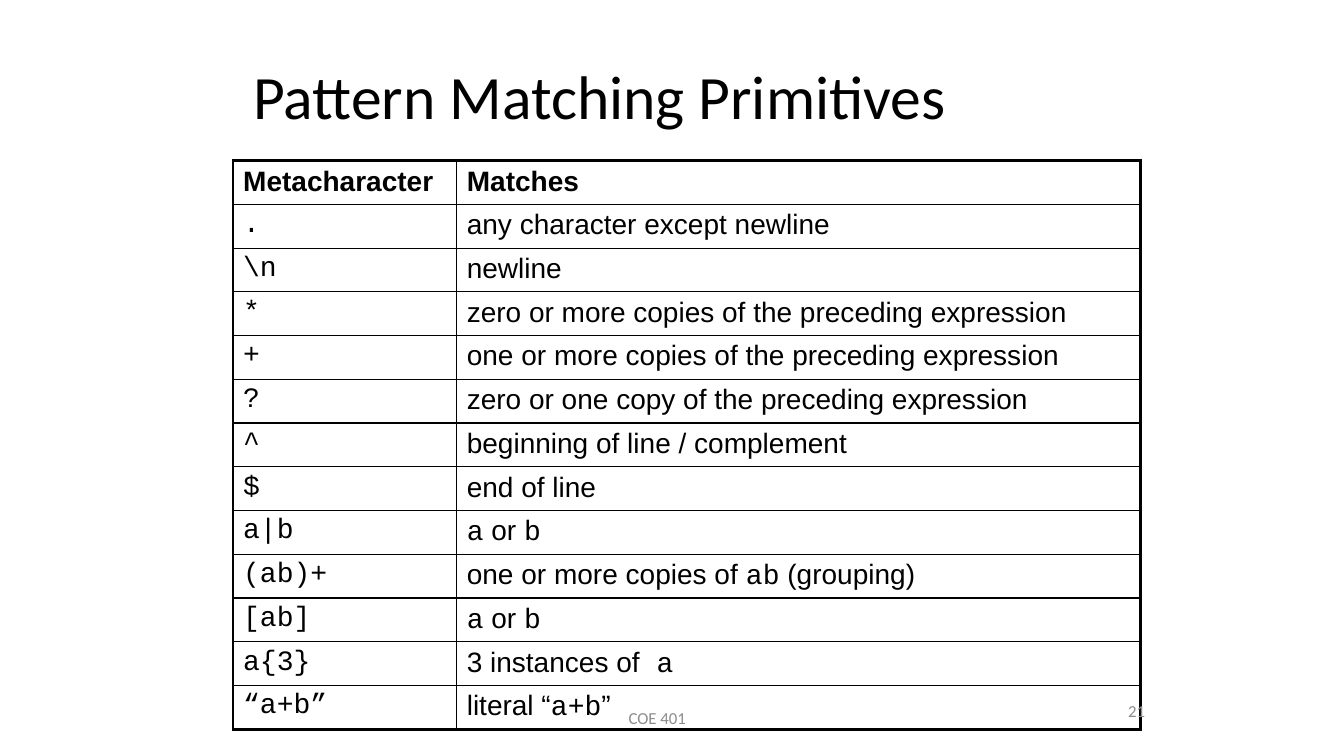
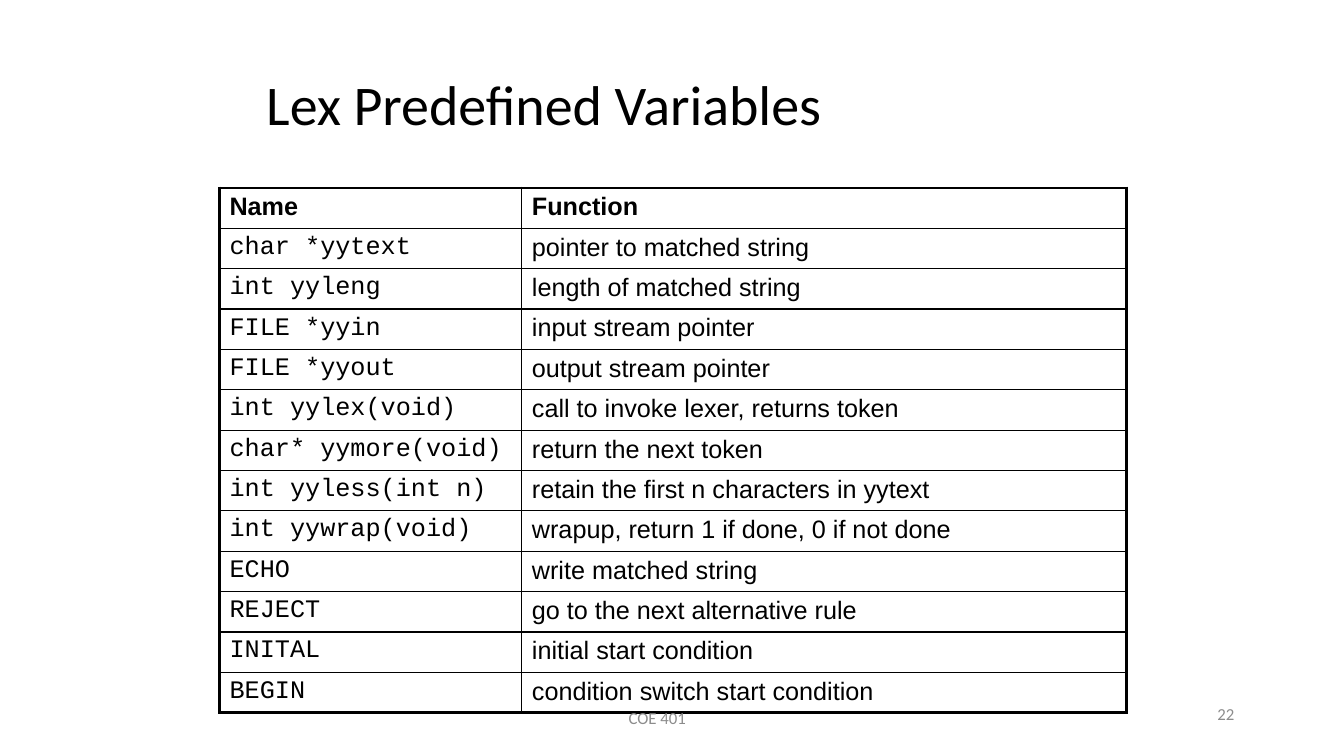
from lxml.etree import SubElement
from pptx import Presentation
from pptx.dml.color import RGBColor
from pptx.enum.text import MSO_ANCHOR, PP_ALIGN
from pptx.oxml.ns import qn
from pptx.util import Emu, Pt

EMU_PER_PX = 9525
BLACK, WHITE, GRAY = "000000", "FFFFFF", "8C8C8C"
HEADING_FONT, BODY_FONT, CODE_FONT = "Calibri", "Arial", "Courier New"
OUTER_LINE, INNER_LINE = 2.25, 1
ROW_HEIGHT = 35
FOOTER_BOX = (318, 660, 616, 48)

# Text between backticks is set in the code font.
PRIMITIVES = [
    ("Metacharacter", "Matches"),
    ("`.`", "any character except newline"),
    ("`\\n`", "newline"),
    ("`*`", "zero or more copies of the preceding expression"),
    ("`+`", "one or more copies of the preceding expression"),
    ("`?`", "zero or one copy of the preceding expression"),
    ("`^`", "beginning of line / complement"),
    ("`$`", "end of line"),
    ("`a|b`", "`a` or `b`"),
    ("`(ab)+`", "one or more copies of `ab` (grouping)"),
    ("`[ab]`", "`a` or `b`"),
    ("`a{3}`", "3 instances of` a`"),
    ("`“a+b”`", "literal “`a+b`”"),
]
VARIABLES = [
    ("Name", "Function"),
    ("`char *yytext`", "pointer to matched string"),
    ("`int yyleng`", "length of matched string"),
    ("`FILE *yyin`", "input stream pointer"),
    ("`FILE *yyout`", "output stream pointer"),
    ("`int yylex(void)`", "call to invoke lexer, returns token"),
    ("`char* yymore(void)`", "return the next token"),
    ("`int yyless(int n)`", "retain the first n characters in yytext"),
    ("`int yywrap(void)`", "wrapup, return 1 if done, 0 if not done"),
    ("`ECHO`", "write matched string"),
    ("`REJECT`", "go to the next alternative rule"),
    ("`INITAL`", "initial start condition"),
    ("`BEGIN`", "condition switch start condition"),
]


def px(length):
    return Emu(length * EMU_PER_PX)


def rgb(color):
    return RGBColor.from_string(color)


def write_text(frame, text, *, size, font=BODY_FONT, color=BLACK, bold=False,
               align=PP_ALIGN.LEFT, line_spacing=None):
    """Fill the first paragraph, switching to the code font at each backtick."""
    paragraph = frame.paragraphs[0]
    paragraph.alignment = align
    paragraph.line_spacing = line_spacing
    for index, part in enumerate(text.split("`")):
        if part:
            run = paragraph.add_run()
            run.text = part
            run.font.name = CODE_FONT if index % 2 else font
            run.font.size = Pt(size)
            run.font.bold = bold
            run.font.color.rgb = rgb(color)


def add_text(slide, box, text, *, indent=0, **text_format):
    frame = slide.shapes.add_textbox(*map(px, box)).text_frame
    frame.word_wrap = True
    frame.vertical_anchor = MSO_ANCHOR.MIDDLE
    frame.margin_left += px(indent)
    write_text(frame, text, **text_format)


def add_title(slide, box, text, size, indent=0):
    add_text(slide, box, text, size=size, indent=indent, font=HEADING_FONT,
             line_spacing=0.9)


def add_footer(slide, number, number_box):
    for box, text, align in ((FOOTER_BOX, "COE 401", PP_ALIGN.CENTER),
                             (number_box, str(number), PP_ALIGN.RIGHT)):
        add_text(slide, box, text, size=12, font=HEADING_FONT, color=GRAY,
                 align=align)


def set_border(cell, side, width):
    line = SubElement(cell._tc.get_or_add_tcPr(), qn(f"a:ln{side}"),
                      w=str(Pt(width)))
    fill = SubElement(line, qn("a:solidFill"))
    SubElement(fill, qn("a:srgbClr"), val=BLACK)


def add_reference_table(slide, left, top, column_widths, rows, size):
    """Add a table with a bold first row and a heavy outline."""
    table = slide.shapes.add_table(
        len(rows), len(column_widths), px(left), px(top),
        px(sum(column_widths)), px(ROW_HEIGHT * len(rows))).table
    table.first_row = table.horz_banding = False
    for column, width in zip(table.columns, column_widths):
        column.width = px(width)
    last_row, last_column = len(rows) - 1, len(column_widths) - 1
    for row_index, row in enumerate(rows):
        for column_index, text in enumerate(row):
            cell = table.cell(row_index, column_index)
            edges = {"L": column_index == 0, "R": column_index == last_column,
                     "T": row_index == 0, "B": row_index == last_row}
            for side, is_outer in edges.items():
                set_border(cell, side, OUTER_LINE if is_outer else INNER_LINE)
            cell.fill.solid()
            cell.fill.fore_color.rgb = rgb(WHITE)
            write_text(cell.text_frame, text, size=size, bold=row_index == 0)


def add_primitives_slide(slide):
    add_title(slide, (232, 35, 816, 120), "Pattern Matching Primitives", 44)
    add_reference_table(slide, 222, 153, (213, 651), PRIMITIVES, 20)
    add_footer(slide, 21, (900, 653, 200, 48))


def add_variables_slide(slide):
    add_title(slide, (232, 42, 816, 120), "Lex Predefined Variables", 40,
              indent=12)
    add_reference_table(slide, 209, 179, (288, 576), VARIABLES, 18)
    add_footer(slide, 22, (918, 656, 267, 48))


def main():
    presentation = Presentation()
    presentation.slide_width, presentation.slide_height = px(1280), px(720)
    blank_layout = presentation.slide_layouts[6]
    for build in (add_primitives_slide, add_variables_slide):
        build(presentation.slides.add_slide(blank_layout))
    presentation.save("out.pptx")


if __name__ == "__main__":
    main()
